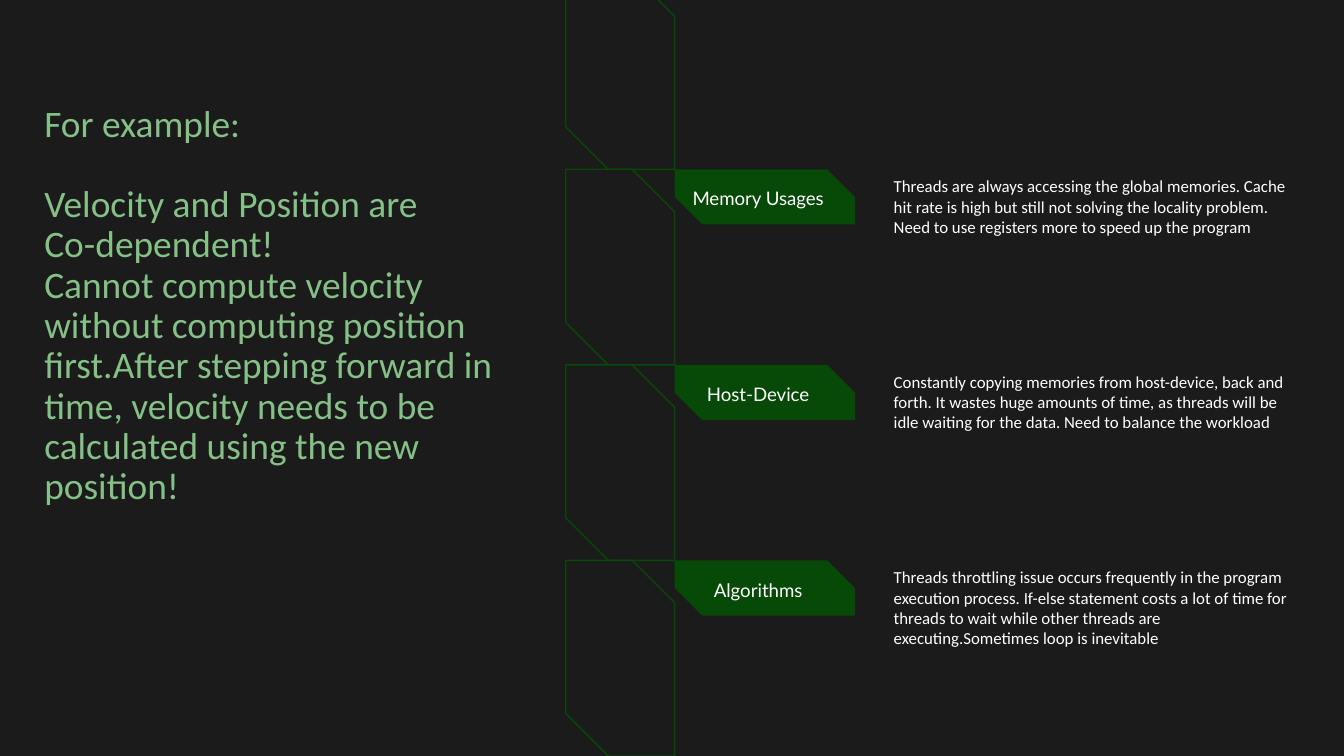
from dataclasses import dataclass

from pptx import Presentation
from pptx.dml.color import RGBColor
from pptx.enum.shapes import MSO_SHAPE
from pptx.enum.text import MSO_ANCHOR, PP_ALIGN
from pptx.shapes.autoshape import Shape
from pptx.slide import Slide
from pptx.text.text import TextFrame
from pptx.util import Inches, Pt

SNIP = MSO_SHAPE.SNIP_2_DIAG_RECTANGLE
TOP, MIDDLE = MSO_ANCHOR.TOP, MSO_ANCHOR.MIDDLE
LEFT, CENTER = PP_ALIGN.LEFT, PP_ALIGN.CENTER


@dataclass(frozen=True)
class Theme:
    background: RGBColor = RGBColor(0x1B, 0x1B, 0x1B)
    accent: RGBColor = RGBColor(0x07, 0x49, 0x07)
    title: RGBColor = RGBColor(0x85, 0xC0, 0x86)
    text: RGBColor = RGBColor(0xFF, 0xFF, 0xFF)
    body_font: str = "Calibri"
    label_font: str = "Lato"
    title_size: int = 20
    label_size: int = 10
    body_size: int = 9
    outline: float = 0.75


@dataclass(frozen=True)
class Box:
    left: float
    top: float
    width: float
    height: float

    def lengths(self) -> list[int]:
        return [Inches(v) for v in (self.left, self.top, self.width, self.height)]


@dataclass(frozen=True)
class Topic:
    label: str
    body: str


THEME = Theme()
TILE_LEFT, TILE_WIDTH = 4.21, 0.81
FIRST_TOP, LAST_TOP = 1.26, 4.17
TITLE = [
    "For example:",
    "Velocity and Position are",
    "Co-dependent!",
    "Cannot compute velocity without computing position first."
    "After stepping forward in time, velocity needs to be calculated "
    "using the new position!",
]
TOPICS = [
    Topic("Memory Usages",
          "Threads are always accessing the global memories. Cache hit rate is "
          "high but still not solving the locality problem. Need to use "
          "registers more to speed up the program"),
    Topic("Host-Device",
          "Constantly copying memories from host-device, back and forth. It "
          "wastes huge amounts of time, as threads will be idle waiting for "
          "the data. Need to balance the workload"),
    Topic("Algorithms",
          "Threads throttling issue occurs frequently in the program execution "
          "process. If-else statement costs a lot of time for threads to wait "
          "while other threads are executing.Sometimes loop is inevitable"),
]
PITCH = (LAST_TOP - FIRST_TOP) / (len(TOPICS) - 1)


def add_text(s: Slide, box: Box, text: str, font: str, size: float,
             color: RGBColor, spacing: float,
             insets: tuple[float, float, float, float],
             align: PP_ALIGN = LEFT, anchor: MSO_ANCHOR = TOP) -> TextFrame:
    tf = s.shapes.add_textbox(*box.lengths()).text_frame
    tf.text = text
    tf.word_wrap = True
    tf.vertical_anchor = anchor
    (tf.margin_left, tf.margin_top,
     tf.margin_right, tf.margin_bottom) = map(Inches, insets)
    for p in tf.paragraphs:
        p.alignment = align
        p.line_spacing = spacing
        for r in p.runs:
            r.font.name = font
            r.font.size = Pt(size)
            r.font.color.rgb = color
    return tf


def add_snip(s: Slide, box: Box, cut: float, fill: RGBColor) -> Shape:
    sp = s.shapes.add_shape(SNIP, *box.lengths())
    sp.shadow.inherit = False
    sp.adjustments[0] = 0
    sp.adjustments[1] = cut
    sp.fill.solid()
    sp.fill.fore_color.rgb = fill
    return sp


def add_tile(s: Slide, top: float) -> None:
    sp = add_snip(s, Box(TILE_LEFT, top, TILE_WIDTH, PITCH), 0.39, THEME.background)
    sp.line.color.rgb = THEME.accent
    sp.line.width = Pt(THEME.outline)


def add_topic(s: Slide, topic: Topic, top: float) -> None:
    tag = Box(TILE_LEFT + TILE_WIDTH, top, 1.34, 0.41)
    add_snip(s, tag, 0.5, THEME.accent).line.fill.background()
    add_text(s, tag, topic.label, THEME.label_font, THEME.label_size,
             THEME.text, 1.15, (0, 0, 0.1, 0), CENTER, MIDDLE)
    add_text(s, Box(6.65, top + 0.05, 3.1, 0.64), topic.body, THEME.body_font,
             THEME.body_size, THEME.text, 1.0, (0, 0, 0.1, 0.1))


def add_title(s: Slide) -> None:
    tf = add_text(s, Box(0.33, 0.68, 3.47, 3.23), "\n".join(TITLE),
                  THEME.body_font, THEME.title_size, THEME.title, 0.9,
                  (0, 0.1, 0.1, 0.1))
    tf.paragraphs[1].space_before = Pt(21.6)


def main() -> None:
    prs = Presentation()
    prs.slide_width = Inches(10)
    prs.slide_height = prs.slide_width * 9 // 16
    s = prs.slides.add_slide(prs.slide_layouts[6])
    s.background.fill.solid()
    s.background.fill.fore_color.rgb = THEME.background

    for i in range(-1, len(TOPICS)):
        add_tile(s, FIRST_TOP + i * PITCH)
    for i, topic in enumerate(TOPICS):
        add_topic(s, topic, FIRST_TOP + i * PITCH)
    add_title(s)
    prs.save("out.pptx")


if __name__ == "__main__":
    main()
